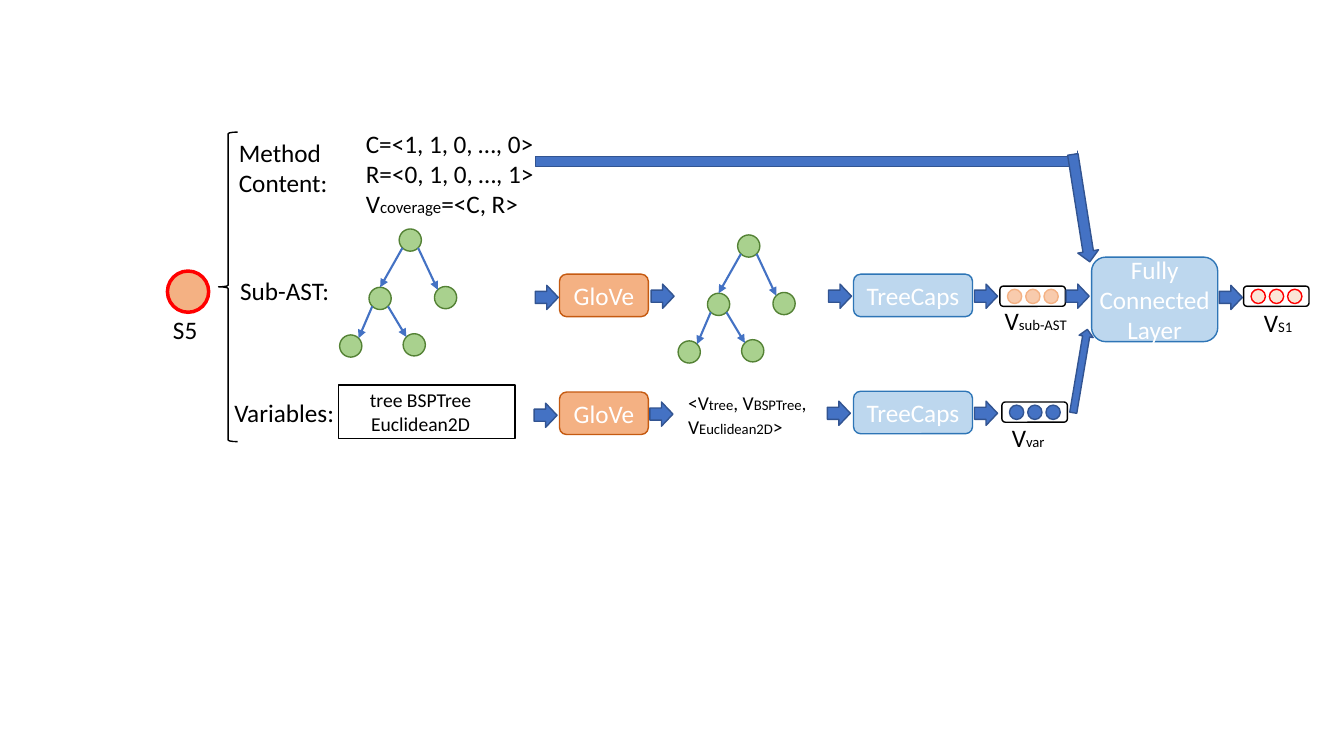
import math

import pptx
import pptx.dml.color
import pptx.enum.shapes
import pptx.enum.text
import pptx.oxml
import pptx.oxml.ns
import pptx.util

Cm = pptx.util.Cm
Pt = pptx.util.Pt
MSO = pptx.enum.shapes.MSO_SHAPE
ALIGN = pptx.enum.text.PP_ALIGN
ANCHOR = pptx.enum.text.MSO_ANCHOR

BLACK, WHITE, RED = "000000", "FFFFFF", "FF0000"
BLUE, DARK_BLUE = "4472C4", "325491"
ORANGE, DARK_ORANGE = "F4B183", "C55A11"
PALE_BLUE, MID_BLUE = "BDD7EE", "2E75B6"
GREEN, DARK_GREEN = "A9D18E", "548235"


def rgb(value):
    return pptx.dml.color.RGBColor.from_string(value)


class Board:
    font = "Calibri"
    size = 18
    small = 10.5

    def __init__(self, s):
        self.s = s

    def add_runs(self, sp, paragraphs, color=BLACK, align=ALIGN.LEFT, inset=None):
        tf = sp.text_frame
        tf.word_wrap = True
        if inset is not None:
            tf.margin_left = tf.margin_right = Cm(inset)
            tf.margin_top = tf.margin_bottom = Cm(inset)
        for i, runs in enumerate(paragraphs):
            p = tf.paragraphs[0] if i == 0 else tf.add_paragraph()
            p.alignment = align
            for text, size in runs:
                r = p.add_run()
                r.text = text
                r.font.name = self.font
                r.font.size = Pt(size)
                r.font.color.rgb = rgb(color)

    def text(self, x, y, w, h, paragraphs, align=ALIGN.LEFT):
        sp = self.s.shapes.add_textbox(Cm(x), Cm(y), Cm(w), Cm(h))
        self.add_runs(sp, paragraphs, align=align)

    def label(self, x, y, w, text, h=1.02, align=ALIGN.LEFT):
        self.text(x, y, w, h, [[(text, self.size)]], align)

    def symbol(self, x, y, w, sub):
        self.text(x, y, w, 1.02, [[("V", self.size), (sub, self.small)]])

    def shape(self, kind, x, y, w, h, fill=None, line=BLACK, width=1):
        sp = self.s.shapes.add_shape(kind, Cm(x), Cm(y), Cm(w), Cm(h))
        sp.shadow.inherit = False
        if fill:
            sp.fill.solid()
            sp.fill.fore_color.rgb = rgb(fill)
        else:
            sp.fill.background()
        sp.line.color.rgb = rgb(line)
        sp.line.width = Pt(width)
        return sp

    def node(self, x, y, w, h, text, fill, line):
        sp = self.shape(MSO.ROUNDED_RECTANGLE, x, y, w, h, fill, line)
        sp.text_frame.vertical_anchor = ANCHOR.MIDDLE
        self.add_runs(sp, [[(text, self.size)]], WHITE, ALIGN.CENTER, 0.05)

    def arrow(self, x, y, w=0.58, h=0.61, rotation=0):
        sp = self.shape(MSO.RIGHT_ARROW, x, y, w, h, BLUE, DARK_BLUE)
        sp.rotation = rotation
        return sp

    def vector(self, x, y, fill, line):
        self.shape(MSO.ROUNDED_RECTANGLE, x, y, 1.65, 0.51)
        for i in range(3):
            self.shape(MSO.OVAL, x + 0.19 + 0.46 * i, y + 0.08, 0.36, 0.36, fill, line)

    def edge(self, x1, y1, x2, y2):
        cx = self.s.shapes.add_connector(
            pptx.enum.shapes.MSO_CONNECTOR.STRAIGHT, Cm(x1), Cm(y1), Cm(x2), Cm(y2))
        cx.line.color.rgb = rgb(BLUE)
        cx.line.width = Pt(1.5)
        ns = pptx.oxml.ns.nsdecls("a")
        ln = cx.line._get_or_add_ln()
        ln.append(pptx.oxml.parse_xml('<a:tailEnd %s type="triangle"/>' % ns))
        ln.addnext(pptx.oxml.parse_xml('<a:effectLst %s/>' % ns))

    def tree(self, x, y):
        d = 0.56
        nodes = [(1.5, 0), (0.74, 1.47), (0, 2.67), (1.6, 2.64), (2.39, 1.45)]
        edges = [(0, 135, 1, 270), (1, 135, 2, 315), (1, 45, 3, 225), (0, 45, 4, 225)]

        def rim(i, angle):
            a = math.radians(angle)
            return (x + nodes[i][0] + d / 2 * (1 + math.cos(a)),
                    y + nodes[i][1] + d / 2 * (1 + math.sin(a)))

        for dx, dy in nodes:
            self.shape(MSO.OVAL, x + dx, y + dy, d, d, GREEN, DARK_GREEN)
        for parent, start, child, end in edges:
            self.edge(*rim(parent, start), *rim(child, end))


prs = pptx.Presentation()
prs.slide_width = Cm(33.87)
prs.slide_height = Cm(19.05)
b = Board(prs.slides.add_slide(prs.slide_layouts[6]))

b.label(5.77, 3.33, 2.84, "Method Content:", h=1.8)
b.label(5.13, 6.81, 4.09, "Sub-AST:", align=ALIGN.CENTER)
b.label(5.21, 9.88, 3.91, "Variables:", align=ALIGN.CENTER)

for y in (6.91, 9.86):
    b.node(21.51, y, 3, 1.07, "TreeCaps", PALE_BLUE, MID_BLUE)
for y in (6.91, 9.88):
    b.node(14.1, y, 2.24, 1.07, "GloVe", ORANGE, DARK_ORANGE)
b.node(27.51, 6.48, 3.18, 2.13, "Fully Connected Layer", PALE_BLUE, MID_BLUE)

b.symbol(25.25, 10.52, 2.06, "var")
b.vector(25.25, 10.13, BLUE, DARK_BLUE)
b.symbol(25.07, 7.57, 2.36, "sub-AST")
b.vector(25.2, 7.21, "F8CBAD", ORANGE)
b.symbol(31.6, 7.62, 2.06, "S1")
b.vector(31.34, 7.21, "FBE5D6", RED)

b.shape(MSO.LEFT_BRACE, 5.51, 3.33, 0.48, 7.8)
b.shape(MSO.OVAL, 4.22, 6.83, 1.04, 1.04, ORANGE, RED, 2.5)
b.label(4.11, 7.8, 2.06, "S5")

bar = b.arrow(13.49, 3.81, 13.67, 0.51)
bar.adjustments[0] = 0.5
bar.adjustments[1] = 0
for x, y in [(13.49, 7.19), (13.46, 10.16), (16.41, 7.16), (16.38, 10.13),
             (20.88, 7.16), (20.85, 10.11), (24.56, 7.16), (24.56, 10.11),
             (26.87, 7.16), (30.73, 7.19)]:
    b.arrow(x, y)
b.arrow(25.88, 4.98, 2.74, 0.53, 81)
b.arrow(26.16, 9.17, 2.13, 0.36, 279.6)

b.tree(8.56, 5.77)
b.tree(17.09, 5.92)

b.text(8.97, 3.1, 4.9, 2.57, [
    [("C=<1, 1, 0, …, 0>", 18)],
    [("R=<0, 1, 0, …, 1>", 18)],
    [("V", 18), ("coverage", 12), ("=<C, R>", 18)],
])

names = b.shape(MSO.RECTANGLE, 8.53, 9.7, 4.45, 1.35)
names.text_frame.vertical_anchor = ANCHOR.MIDDLE
b.add_runs(names, [[("tree BSPTree Euclidean2D", 14)]], align=ALIGN.CENTER)
names.text_frame.margin_right = Cm(0.56)

b.text(17.09, 9.73, 3.73, 1.45, [[
    ("<V", 14), ("tree", 10.5), (", V", 14), ("BSPTree", 10.5),
    (", V", 14), ("Euclidean2D", 10.5), (">", 14),
]])

prs.save("out.pptx")
